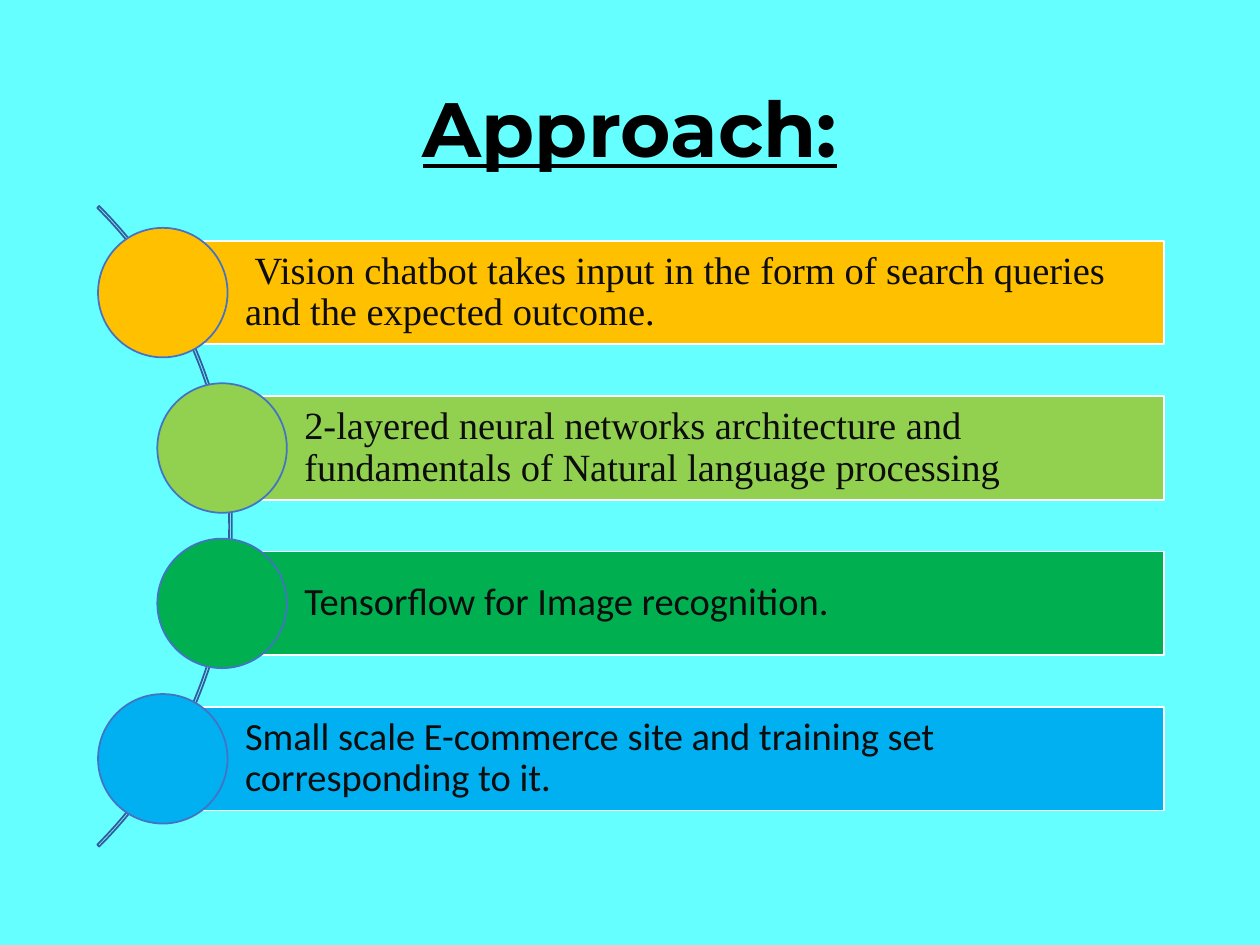
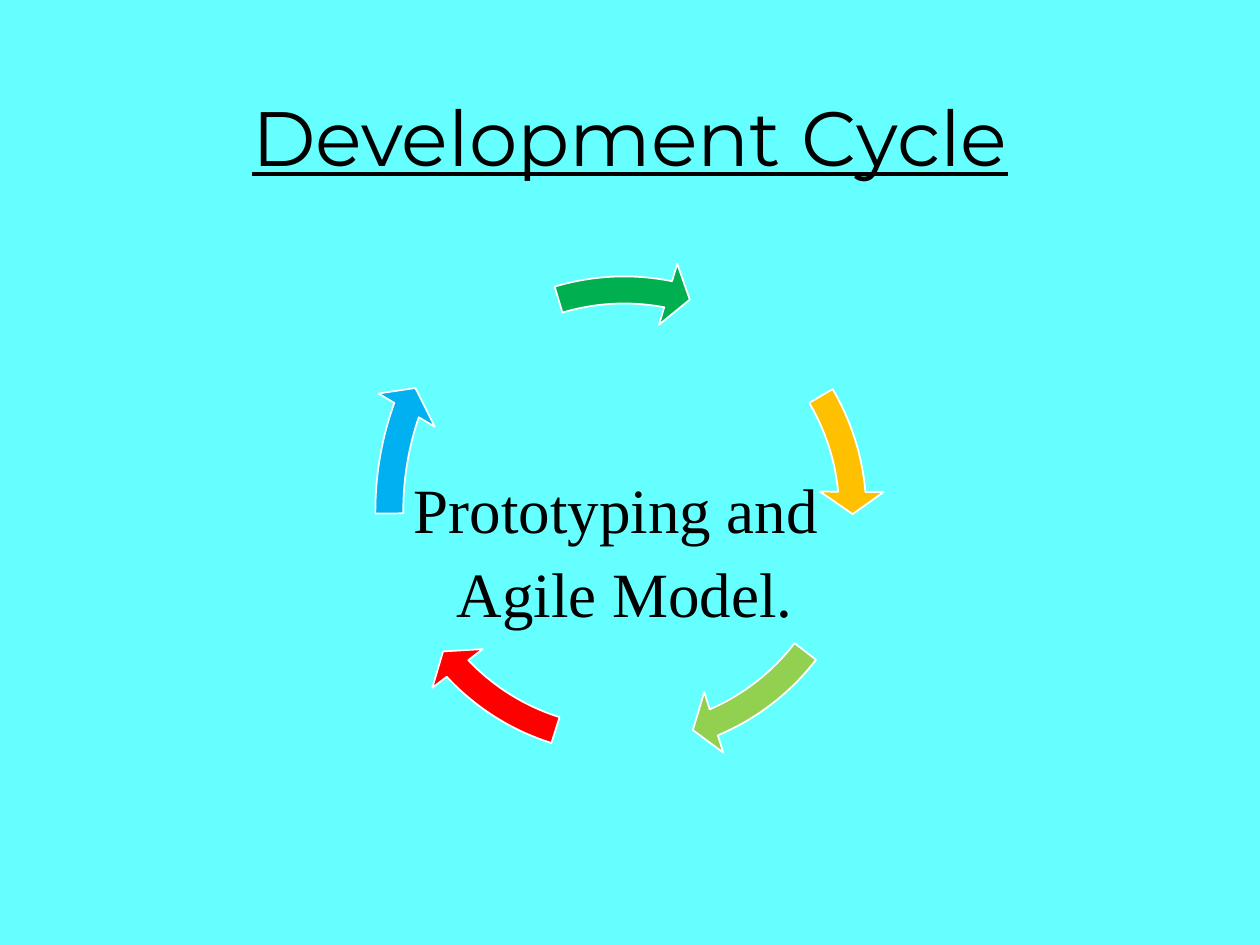
from dataclasses import dataclass

from pptx import Presentation
from pptx.dml.color import RGBColor
from pptx.enum.shapes import MSO_SHAPE
from pptx.enum.text import MSO_ANCHOR, PP_ALIGN
from pptx.shapes.autoshape import Shape
from pptx.slide import Slide
from pptx.text.text import TextFrame
from pptx.util import Pt

RECTANGLE = MSO_SHAPE.RECTANGLE
OVAL = MSO_SHAPE.OVAL
BLOCK_ARC = MSO_SHAPE.BLOCK_ARC
CIRCULAR_ARROW = MSO_SHAPE.CIRCULAR_ARROW
MIDDLE = MSO_ANCHOR.MIDDLE
TOP = MSO_ANCHOR.TOP
CENTER = PP_ALIGN.CENTER
LEFT = PP_ALIGN.LEFT

COLORS = {
    "background": "66FFFF",
    "black": "000000",
    "ink": "0D0D0D",
    "white": "FFFFFF",
    "outline": "4472C4",
    "arc": "365B9D",
    "amber": "FFC000",
    "lime": "92D050",
    "green": "00B050",
    "sky": "00B0F0",
    "red": "FF0000",
}

HEADING_FONT = "Montserrat"
SERIF = "Times New Roman"
SANS = "Calibri"
LINE_SPACING = 0.9

CONTENT_LEFT, CONTENT_WIDTH = 49.7, 620.6
TITLE_HEIGHT = 104.4

FIRST_STEP_Y, STEP_PITCH = 167.2, 88.8
BAR_HEIGHT, BAR_RIGHT = 59.2, 665.3
CIRCLE_SIZE = 74
OUTER_X, INNER_X = 93, 126.9

ANGLE_UNIT = 0.6
ARROW_THICKNESS, ARROW_HEAD_ANGLE, ARROW_HEAD_WIDTH = 0.052, 5.6, 0.061


@dataclass(frozen=True)
class Box:
    left: float
    top: float
    width: float
    height: float


@dataclass(frozen=True)
class Step:
    text: str
    font: str
    color: str
    center_x: float
    first_indent: float = 0


@dataclass(frozen=True)
class CycleArrow:
    color: str
    start: float
    end: float
    box: Box


ARC_BOX = Box(-385.2, 41.9, 517.7, 517.7)
RING = Box(208, 144, 297.4, 297.4)
LOWERED_RING = Box(208, 147.6, 297.4, 297.4)
TALL_RING = Box(203.8, 119.5, 306, 345.6)

STEPS = [
    Step("Vision chatbot takes input in the form of search queries "
         "and the expected outcome.", SERIF, "amber", OUTER_X, 5.5),
    Step("2-layered neural networks architecture and fundamentals of "
         "Natural language processing", SERIF, "lime", INNER_X),
    Step("Tensorflow for Image recognition.", SANS, "green", INNER_X),
    Step("Small scale E-commerce site and training set corresponding to it.",
         SANS, "sky", OUTER_X),
]

CYCLE_ARROWS = [
    CycleArrow("amber", 329.44, 354.89, RING),
    CycleArrow("lime", 37.56, 66.91, RING),
    CycleArrow("red", 107.49, 136.84, RING),
    CycleArrow("sky", 179.52, 204.96, TALL_RING),
    CycleArrow("green", 253.31, 281.09, LOWERED_RING),
]


def rgb(color: str) -> RGBColor:
    return RGBColor.from_string(COLORS[color])


def add_outline(slide: Slide, kind: MSO_SHAPE, box: Box, line: str,
                fill: str | None = None) -> Shape:
    shape = slide.shapes.add_shape(
        kind, Pt(box.left), Pt(box.top), Pt(box.width), Pt(box.height))
    shape.shadow.inherit = False
    shape.line.color.rgb = rgb(line)
    shape.line.width = Pt(1)
    if fill:
        shape.fill.solid()
        shape.fill.fore_color.rgb = rgb(fill)
    else:
        shape.fill.background()
    return shape


def write(frame: TextFrame, text: str, font: str, size: float, color: str,
          align: PP_ALIGN = LEFT, underline: bool = False,
          bold: bool = False) -> None:
    frame.word_wrap = True
    frame.text = text
    for paragraph in frame.paragraphs:
        paragraph.alignment = align
        paragraph.line_spacing = LINE_SPACING
        for run in paragraph.runs:
            run.font.name = font
            run.font.size = Pt(size)
            run.font.color.rgb = rgb(color)
            run.font.underline = underline
            run.font.bold = bold


def set_margins(frame: TextFrame, left: float, top: float, right: float,
                bottom: float) -> None:
    frame.margin_left, frame.margin_top = Pt(left), Pt(top)
    frame.margin_right, frame.margin_bottom = Pt(right), Pt(bottom)


def indent_first_line(frame: TextFrame, line: int, indent: float) -> None:
    properties = frame.paragraphs[line]._p.get_or_add_pPr()
    properties.set("marL", "0")
    properties.set("indent", str(Pt(indent)))


def add_titled_slide(deck: Presentation, title: str, title_top: float,
                     bold: bool = False) -> Slide:
    slide = deck.slides.add_slide(deck.slide_layouts[6])
    slide.background.fill.solid()
    slide.background.fill.fore_color.rgb = rgb("background")
    heading = slide.shapes.add_textbox(
        Pt(CONTENT_LEFT), Pt(title_top), Pt(CONTENT_WIDTH), Pt(TITLE_HEIGHT))
    heading.text_frame.vertical_anchor = MIDDLE
    write(heading.text_frame, title, HEADING_FONT, 44, "black", CENTER,
          underline=True, bold=bold)
    return slide


def add_step(slide: Slide, step: Step, center_y: float) -> None:
    bar_box = Box(step.center_x, center_y - BAR_HEIGHT / 2,
                  BAR_RIGHT - step.center_x, BAR_HEIGHT)
    bar = add_outline(slide, RECTANGLE, bar_box, "white", step.color)
    bar.text_frame.vertical_anchor = MIDDLE
    set_margins(bar.text_frame, 47, 4.4, 4.4, 4.4)
    write(bar.text_frame, step.text, step.font, 22, "ink")
    indent_first_line(bar.text_frame, 0, step.first_indent)
    circle_box = Box(step.center_x - CIRCLE_SIZE / 2,
                     center_y - CIRCLE_SIZE / 2, CIRCLE_SIZE, CIRCLE_SIZE)
    add_outline(slide, OVAL, circle_box, "outline", step.color)


def add_cycle_arrow(slide: Slide, arrow: CycleArrow) -> None:
    shape = add_outline(slide, CIRCULAR_ARROW, arrow.box, "white", arrow.color)
    values = (ARROW_THICKNESS, ARROW_HEAD_ANGLE * ANGLE_UNIT,
              arrow.end * ANGLE_UNIT, arrow.start * ANGLE_UNIT,
              ARROW_HEAD_WIDTH)
    for index, value in enumerate(values):
        shape.adjustments[index] = value


def build_approach(deck: Presentation) -> None:
    slide = add_titled_slide(deck, "Approach:", 23.8, bold=True)
    arc = add_outline(slide, BLOCK_ARC, ARC_BOX, "arc")
    for index, value in enumerate((315 * ANGLE_UNIT, 45 * ANGLE_UNIT, 0.003)):
        arc.adjustments[index] = value
    for index, step in enumerate(STEPS):
        add_step(slide, step, FIRST_STEP_Y + index * STEP_PITCH)


def build_development_cycle(deck: Presentation) -> None:
    slide = add_titled_slide(deck, "Development Cycle", 28.8)
    model = slide.shapes.add_textbox(
        Pt(CONTENT_LEFT), Pt(144), Pt(CONTENT_WIDTH), Pt(342.7))
    frame = model.text_frame
    frame.vertical_anchor = TOP
    set_margins(frame, 186.8, 129.7, 7.2, 3.6)
    write(frame, "Prototyping and\nAgile Model.", SERIF, 36, "black")
    frame.paragraphs[1].space_before = Pt(9)
    indent_first_line(frame, 1, 24.5)
    for arrow in CYCLE_ARROWS:
        add_cycle_arrow(slide, arrow)


def main() -> None:
    deck = Presentation()
    deck.slide_width, deck.slide_height = Pt(720), Pt(540)
    build_approach(deck)
    build_development_cycle(deck)
    deck.save("out.pptx")


if __name__ == "__main__":
    main()
